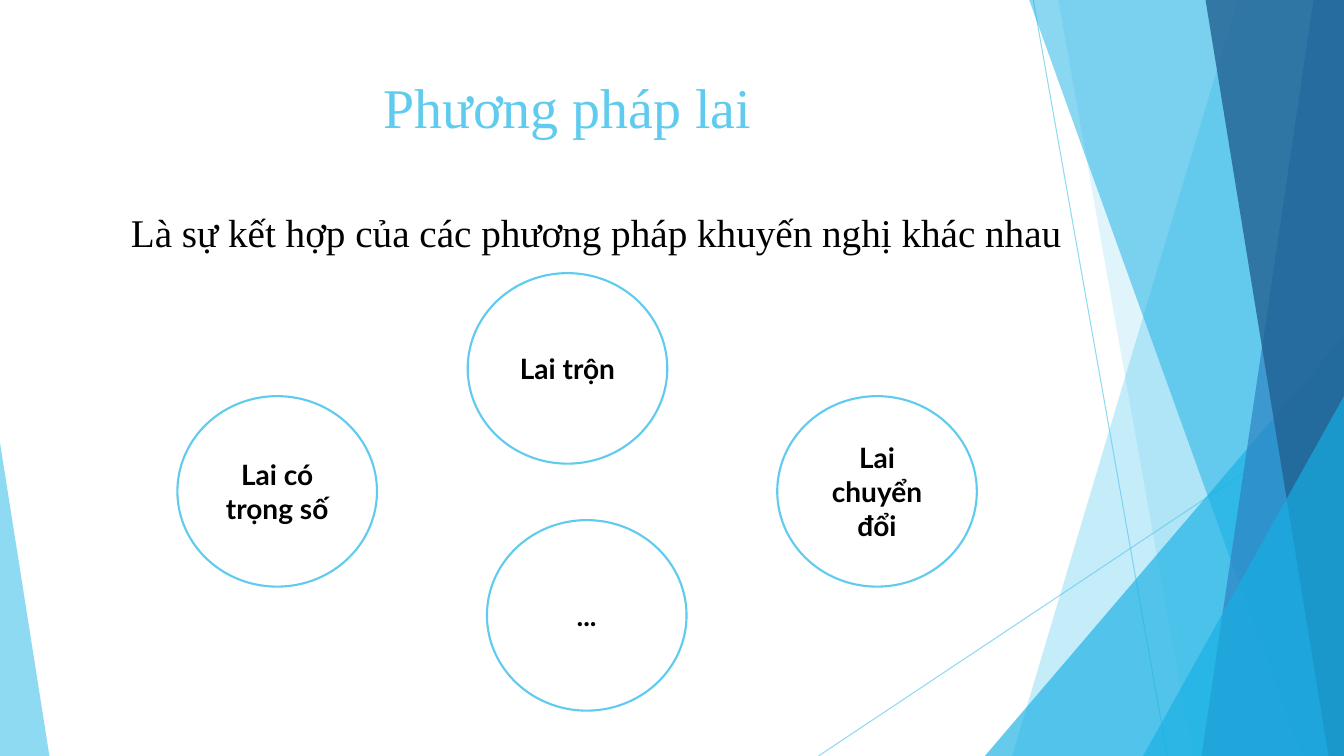
from dataclasses import dataclass

from lxml import etree
from pptx import Presentation
from pptx.dml.color import RGBColor
from pptx.enum.shapes import MSO_CONNECTOR, MSO_SHAPE
from pptx.enum.text import MSO_ANCHOR, PP_ALIGN
from pptx.oxml.ns import qn
from pptx.util import Inches, Pt

STRAIGHT = MSO_CONNECTOR.STRAIGHT
OVAL, TRIANGLE = MSO_SHAPE.OVAL, MSO_SHAPE.ISOSCELES_TRIANGLE
LEFT, CENTER = PP_ALIGN.LEFT, PP_ALIGN.CENTER
TOP, MIDDLE = MSO_ANCHOR.TOP, MSO_ANCHOR.MIDDLE

WIDTH, HEIGHT = Inches(13.333), Inches(7.5)


@dataclass(frozen=True)
class Theme:
    sky: str = "5FCBEF"
    cyan: str = "17B0E4"
    blue: str = "2E83C3"
    navy: str = "226292"
    paper: str = "FFFFFF"
    ink: str = "000000"
    serif: str = "Times New Roman"
    sans: str = "Lato"
    title_size: int = 40
    sentence_size: int = 28
    circle_size: int = 20


THEME = Theme()

# Edge at the top and at the bottom (percent of width), colour, opacity
BACK_BANDS = [
    (92.1, 75.3, THEME.sky, 36),
    (78.75, 88.73, THEME.sky, 20),
]
FRONT_BANDS = [
    (76.58, 96.83, THEME.cyan, 50),
    (97.73, 89.4, THEME.blue, 70),
    (89.7, 98.85, THEME.navy, 80),
]
CIRCLE_WIDTH, CIRCLE_HEIGHT = 14.85, 25.2
SIDE_TOP = 52.4
HYBRID_METHODS = [
    ("Lai có trọng số", 13.2, SIDE_TOP),
    ("Lai trộn", 34.8, 36.13),
    ("Lai chuyển đổi", 57.83, SIDE_TOP),
    ("...", 36.23, 68.8),
]


def across(percent):
    return round(WIDTH * percent / 100)


def down(percent):
    return round(HEIGHT * percent / 100)


def box(left, top, width, height):
    """Turn percentages of the slide into a position and a size."""
    return across(left), down(top), across(width), down(height)


def set_opacity(fill_parent, percent):
    color = fill_parent.find(f"{qn('a:solidFill')}/{qn('a:srgbClr')}")
    etree.SubElement(color, qn("a:alpha")).set("val", str(percent * 1000))


def fill_shape(shape, color, opacity=100):
    shape.shadow.inherit = False
    shape.fill.solid()
    shape.fill.fore_color.rgb = RGBColor.from_string(color)
    shape.line.fill.background()
    if opacity < 100:
        set_opacity(shape._element.spPr, opacity)


def write_text(shape, text, *, font, size, color, bold=False, align=LEFT, anchor=TOP):
    frame = shape.text_frame
    frame.word_wrap = True
    frame.vertical_anchor = anchor
    paragraph = frame.paragraphs[0]
    paragraph.alignment = align
    run = paragraph.add_run()
    run.text = text
    run.font.name = font
    run.font.size = Pt(size)
    run.font.bold = bold
    run.font.color.rgb = RGBColor.from_string(color)


def add_thin_line(slide, start, end):
    line = slide.shapes.add_connector(
        STRAIGHT, across(start[0]), down(start[1]), across(end[0]), down(end[1])
    )
    line.line.width = Pt(0.75)
    line.line.color.rgb = RGBColor.from_string(THEME.sky)
    properties = line._element.spPr
    set_opacity(properties.find(qn("a:ln")), 70)
    etree.SubElement(properties, qn("a:effectLst"))


def add_band(slide, top_edge, bottom_edge, color, opacity):
    """Fill the area from a slanted edge to the right side of the slide."""
    builder = slide.shapes.build_freeform(across(top_edge), 0)
    corners = [(WIDTH, 0), (WIDTH, HEIGHT), (across(bottom_edge), HEIGHT)]
    builder.add_line_segments(corners, close=True)
    fill_shape(builder.convert_to_shape(), color, opacity)


def add_corner(slide, left, top, width, apex, color, opacity):
    """Add a triangle standing on the bottom edge; apex is 0 (left) to 1 (right)."""
    triangle = slide.shapes.add_shape(TRIANGLE, *box(left, top, width, 100 - top))
    triangle.adjustments[0] = apex
    fill_shape(triangle, color, opacity)


def add_decoration(slide):
    add_thin_line(slide, (76.88, 0), (86.85, 100))
    add_thin_line(slide, (100, 53.73), (60.9, 100))
    for band in BACK_BANDS:
        add_band(slide, *band)
    add_corner(slide, 73.28, 44.4, 26.72, 1, THEME.cyan, 66)
    for band in FRONT_BANDS:
        add_band(slide, *band)
    add_corner(slide, 85.05, 52.4, 14.95, 1, THEME.cyan, 66)
    add_corner(slide, 0, 58.53, 3.68, 0, THEME.sky, 70)


def add_title(slide, text):
    title = slide.shapes.title
    title.left, title.top, title.width, title.height = box(5.55, 8.93, 73.35, 15.33)
    write_text(title, text, font=THEME.serif, size=THEME.title_size,
               color=THEME.sky, align=CENTER)


def add_sentence(slide, text):
    sentence = slide.shapes.add_textbox(*box(9, 26.93, 71.78, 7.6))
    write_text(sentence, text, font=THEME.serif, size=THEME.sentence_size,
               color=THEME.ink)


def add_circle(slide, text, left, top):
    circle = slide.shapes.add_shape(OVAL, *box(left, top, CIRCLE_WIDTH, CIRCLE_HEIGHT))
    fill_shape(circle, THEME.paper)
    circle.line.color.rgb = RGBColor.from_string(THEME.sky)
    circle.line.width = Pt(1.5)
    write_text(circle, text, font=THEME.sans, size=THEME.circle_size,
               color=THEME.ink, bold=True, align=CENTER, anchor=MIDDLE)


def main():
    presentation = Presentation()
    presentation.slide_width, presentation.slide_height = WIDTH, HEIGHT
    title_only = presentation.slide_layouts.get_by_name("Title Only")
    slide = presentation.slides.add_slide(title_only)
    add_decoration(slide)
    add_title(slide, "Phương pháp lai")
    add_sentence(slide, "Là sự kết hợp của các phương pháp khuyến nghị khác nhau")
    for method in HYBRID_METHODS:
        add_circle(slide, *method)
    presentation.save("out.pptx")


if __name__ == "__main__":
    main()
